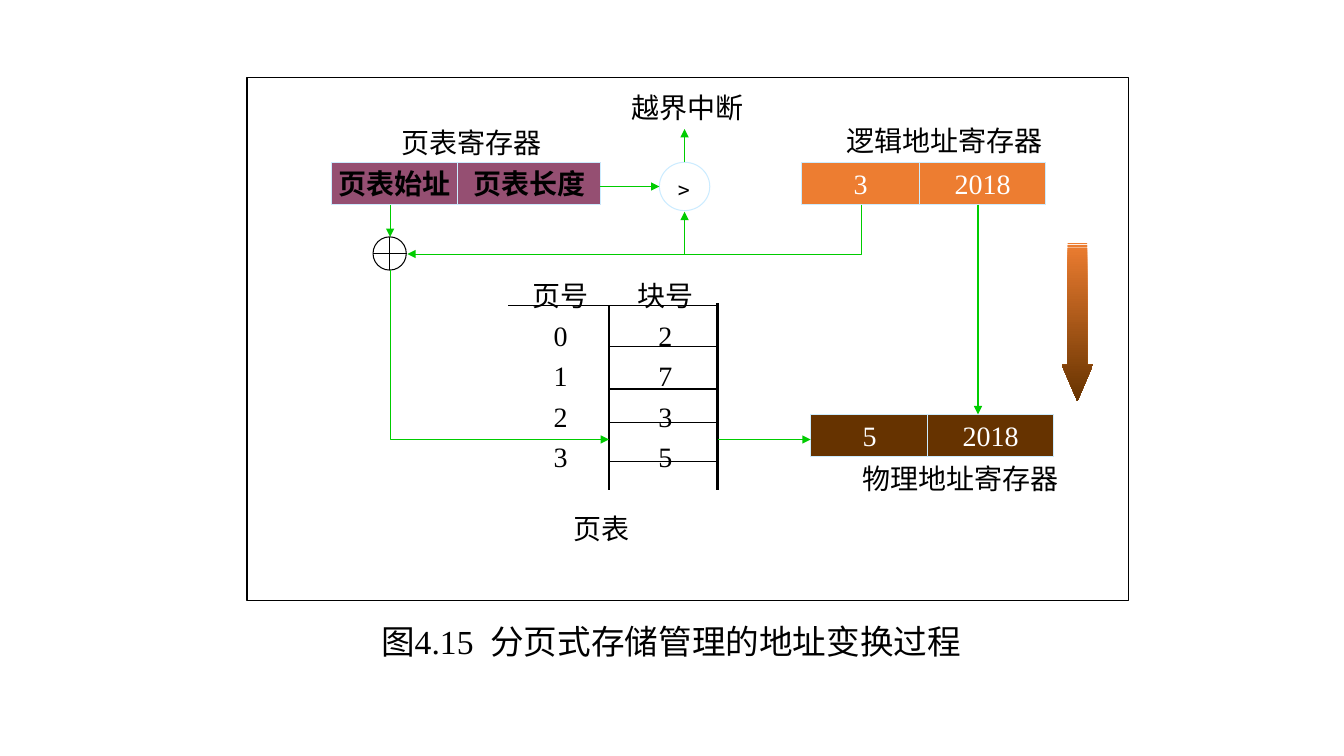
"""Build the slide showing address translation in paged memory management."""
from lxml.etree import SubElement
from pptx import Presentation
from pptx.dml.color import RGBColor
from pptx.enum.shapes import MSO_CONNECTOR, MSO_SHAPE
from pptx.enum.text import MSO_ANCHOR, MSO_AUTO_SIZE, PP_ALIGN
from pptx.oxml.ns import qn
from pptx.util import Inches, Pt

THEME = {
    "font": "Times New Roman", "body": Pt(20), "caption": Pt(24),
    "thin": Pt(0.75), "rule": Pt(1), "thick": Pt(2.25),
    "ink": RGBColor.from_string("000000"), "paper": RGBColor.from_string("FFFFFF"),
    "edge": RGBColor.from_string("CCECFF"), "flow": RGBColor.from_string("00CC00"),
    "page_table": RGBColor.from_string("954F72"),
    "logical": RGBColor.from_string("ED7D31"),
    "physical": RGBColor.from_string("663300"),
}

deck = Presentation()
deck.slide_width, deck.slide_height = Inches(13.33), Inches(7.5)
COLUMN, ROW = deck.slide_width / 13.33, deck.slide_height / 7.5
page = deck.slides.add_slide(deck.slide_layouts[5])
shapes = page.shapes


def write(box, text, color="ink", size="body", bold=False, **frame_format):
    """Put one centred paragraph in a box."""
    frame = box.text_frame
    frame.text = text
    para = frame.paragraphs[0]
    para.alignment = PP_ALIGN.CENTER
    for name, value in frame_format.items():
        setattr(frame, name, value)
    span = para.runs[0]
    for name, value in {"name": THEME["font"], "size": THEME[size], "bold": bold}.items():
        setattr(span.font, name, value)
    span.font.color.rgb = THEME[color]
    return para


def draw(item, color, width="thin", arrow=False, fill=None):
    """Style the outline and fill of a shape or connector."""
    item.line.color.rgb, item.line.width = THEME[color], THEME[width]
    if arrow:
        SubElement(item.line._get_or_add_ln(), qn("a:tailEnd"), type="triangle")
    if not hasattr(item, "fill"):
        SubElement(item._element.spPr, qn("a:effectLst"))
        return
    item.shadow.inherit = False
    if fill:
        item.fill.solid()
        item.fill.fore_color.rgb = THEME[fill]
    else:
        item.fill.background()


caption = shapes.title
for name, value in {"left": 3.53 * COLUMN, "top": 6.11 * ROW,
                    "width": 6.25 * COLUMN, "height": 0.5 * ROW}.items():
    setattr(caption, name, int(value))
write(caption, "图4.15  分页式存储管理的地址变换过程", size="caption", word_wrap=True,
      vertical_anchor=MSO_ANCHOR.TOP, auto_size=MSO_AUTO_SIZE.NONE)

CELL = {"word_wrap": False, "vertical_anchor": MSO_ANCHOR.MIDDLE}
for kind, left, top, width, height, edge, fill, text, color, bold in [
    (MSO_SHAPE.RECTANGLE, 2.45, 0.77, 8.74, 5.19, "ink", "paper", "", "ink", False),
    (MSO_SHAPE.RECTANGLE, 3.29, 1.61, 1.25, 0.42, "edge", "page_table", "页表始址", "ink", True),
    (MSO_SHAPE.RECTANGLE, 4.54, 1.61, 1.42, 0.42, "edge", "page_table", "页表长度", "ink", True),
    (MSO_SHAPE.OVAL, 6.54, 1.61, 0.5, 0.48, "edge", None, "﹥", "ink", False),
    (MSO_SHAPE.RECTANGLE, 7.95, 1.61, 1.17, 0.42, "edge", "logical", "3", "paper", False),
    (MSO_SHAPE.RECTANGLE, 9.12, 1.61, 1.25, 0.42, "edge", "logical", "2018", "paper", False),
    (MSO_SHAPE.RECTANGLE, 8.04, 4.11, 1.17, 0.42, "edge", "physical", "5", "paper", False),
    (MSO_SHAPE.RECTANGLE, 9.2, 4.11, 1.25, 0.42, "edge", "physical", "2018", "paper", False),
    (MSO_SHAPE.FLOWCHART_OR, 3.7, 2.35, 0.33, 0.33, "ink", None, "", "ink", False),
]:
    box = shapes.add_shape(kind, int(left * COLUMN), int(top * ROW),
                           int(width * COLUMN), int(height * ROW))
    draw(box, edge, fill=fill)
    if text:
        write(box, text, color, bold=bold, **CELL)

for text, left, top, width, wrap in [
    ("页表寄存器", 3.88, 1.2, 1.6, False),
    ("越界中断", 6.16, 0.85, 1.32, False),
    ("逻辑地址寄存器", 8.24, 1.18, 2.26, True),
    ("物理地址寄存器", 8.24, 4.53, 2.57, True),
    ("页表", 5.59, 5.03, 0.76, False),
]:
    box = shapes.add_textbox(int(left * COLUMN), int(top * ROW),
                             int(width * COLUMN), int(0.44 * ROW))
    write(box, text, word_wrap=wrap, auto_size=MSO_AUTO_SIZE.SHAPE_TO_FIT_TEXT)

TABLE_LEFT, TABLE_TOP, TABLE_COLUMN, TABLE_ROW = 5.04, 2.61, 1.04, 0.4
entries = [("页号", "块号"), ("0", "2"), ("1", "7"), ("2", "3"), ("3", "5")]
for row, entry in enumerate(entries):
    for column, text in enumerate(entry):
        box = shapes.add_textbox(int((TABLE_LEFT + column * TABLE_COLUMN) * COLUMN),
                                 int((TABLE_TOP + row * TABLE_ROW) * ROW),
                                 int(TABLE_COLUMN * COLUMN), int(TABLE_ROW * ROW))
        write(box, text, word_wrap=True).line_spacing = 1.3

DIVIDER, TABLE_RIGHT, TABLE_RULE, TABLE_BOTTOM = 6.04, 7.12, 3.03, 4.86
COMPARE, OFFSET, ADDER, LOOKUP, BUS = 6.79, 9.7, 3.87, 4.36, 2.52
rules = [(DIVIDER, y, TABLE_RIGHT, y, "ink", "rule") for y in (3.44, 3.86, 4.19, 4.58)]
rules += [
    (TABLE_LEFT, TABLE_RULE, TABLE_RIGHT, TABLE_RULE, "ink", "rule"),
    (DIVIDER, TABLE_RULE, DIVIDER, TABLE_BOTTOM, "ink", "rule"),
    (TABLE_RIGHT, 3.01, TABLE_RIGHT, TABLE_BOTTOM, "ink", "thick"),
]
arrows = [
    (TABLE_RIGHT, LOOKUP, 8.04, LOOKUP, "flow", "thin"),
    (OFFSET, 2.03, OFFSET, 4.11, "flow", "thin"),
    (COMPARE, 1.61, COMPARE, 1.28, "flow", "thin"),
    (COMPARE, BUS, COMPARE, 2.1, "flow", "thin"),
    (ADDER, 2.03, ADDER, 2.35, "flow", "thin"),
    (5.95, 1.85, 6.54, 1.85, "flow", "thin"),
]
for x1, y1, x2, y2, color, width in rules + arrows:
    line = shapes.add_connector(MSO_CONNECTOR.STRAIGHT, int(x1 * COLUMN), int(y1 * ROW),
                                int(x2 * COLUMN), int(y2 * ROW))
    draw(line, color, width, arrow=color == "flow")

for start, *corners in [
    [(ADDER, 2.68), (ADDER, LOOKUP), (DIVIDER, LOOKUP)],
    [(8.54, 2.03), (8.54, BUS), (4.04, BUS)],
]:
    builder = shapes.build_freeform(int(start[0] * COLUMN), int(start[1] * ROW))
    builder.add_line_segments([(int(x * COLUMN), int(y * ROW)) for x, y in corners], close=False)
    draw(builder.convert_to_shape(), "flow", arrow=True)

direction = shapes.add_shape(MSO_SHAPE.STRIPED_RIGHT_ARROW, int(9.9 * COLUMN), int(3.04 * ROW),
                             int(1.57 * COLUMN), int(0.31 * ROW))
direction.rotation = 90
direction.adjustments[0], direction.adjustments[1] = 0.62, 1.16
direction.shadow.inherit = False
direction.line.fill.background()
direction.fill.gradient()
direction.fill.gradient_angle = 0
for stop, color in zip(direction.fill.gradient_stops, ("logical", "physical")):
    stop.color.rgb = THEME[color]

deck.save("out.pptx")
